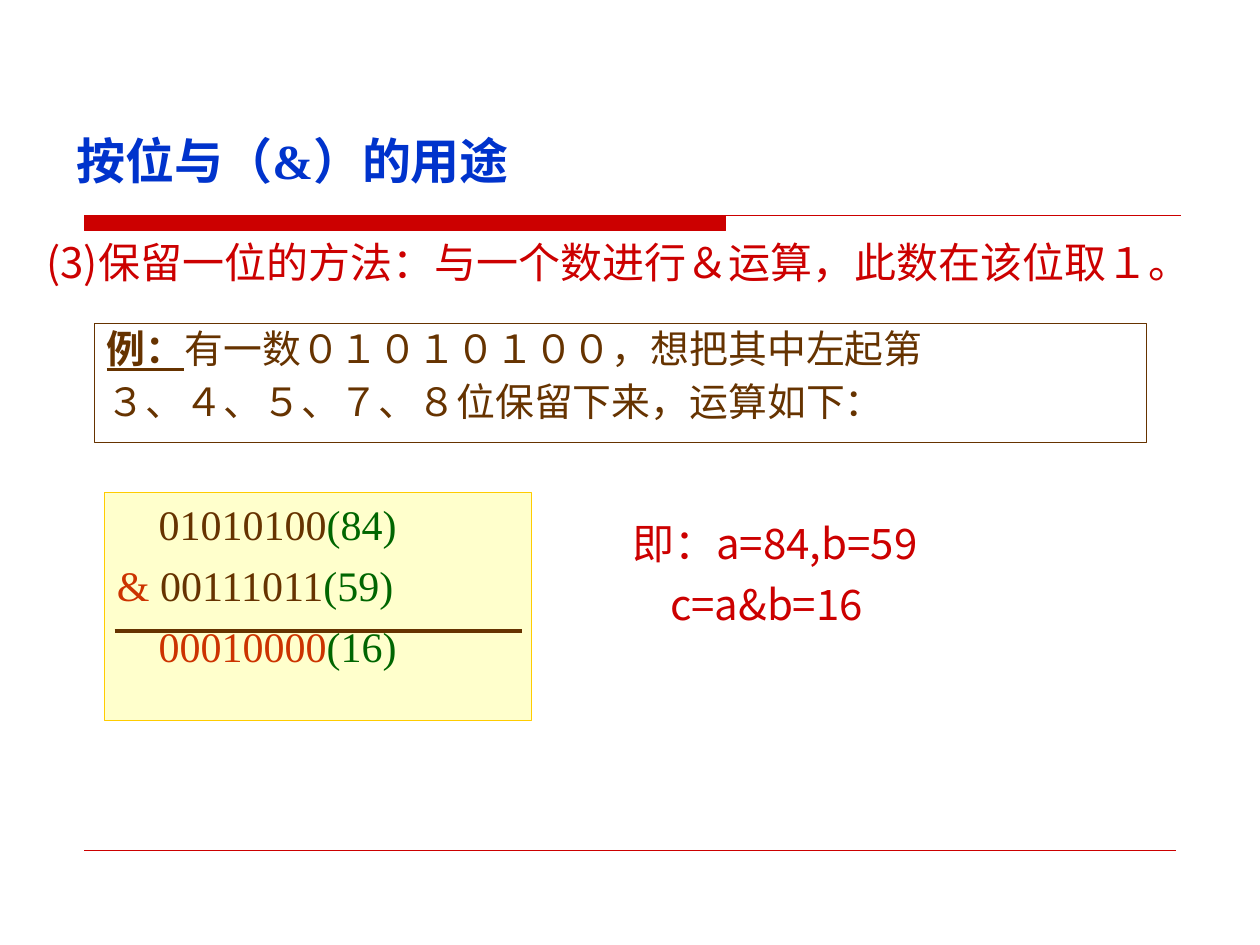
from lxml import etree
from pptx import Presentation
from pptx.dml.color import RGBColor
from pptx.enum.shapes import MSO_CONNECTOR, MSO_SHAPE
from pptx.enum.text import MSO_ANCHOR, PP_ALIGN
from pptx.oxml.ns import qn
from pptx.util import Inches, Pt

STRAIGHT = MSO_CONNECTOR.STRAIGHT
RECTANGLE = MSO_SHAPE.RECTANGLE
TOP = MSO_ANCHOR.TOP
LEFT = PP_ALIGN.LEFT

COLORS = {
    "red": "CC0000",
    "blue": "0033CC",
    "brown": "663300",
    "orange": "CC3300",
    "green": "006600",
    "cream": "FFFFCC",
    "gold": "FFCC00",
}
SANS = "Noto Sans CJK SC"
SERIF = "Times New Roman"


def rgb(name):
    return RGBColor.from_string(COLORS[name])


def add_rule(shapes, x1, x2, y, color, weight):
    rule = shapes.add_connector(STRAIGHT, Inches(x1), Inches(y), Inches(x2), Inches(y))
    rule.line.color.rgb = rgb(color)
    rule.line.width = Pt(weight)
    etree.SubElement(rule._element.spPr, qn("a:effectLst"))


def add_title_band(shapes, left, top, bar_right, bar_bottom, line_right):
    x, y, right, bottom, end = (
        Inches(v) for v in (left, top, bar_right, bar_bottom, line_right)
    )
    outline = shapes.build_freeform(x, y)
    outline.add_line_segments([(right, y), (right, bottom), (x, bottom)], close=True)
    outline.move_to(x, y)
    outline.add_line_segments([(end, y)], close=False)
    band = outline.convert_to_shape()
    band.shadow.inherit = False
    band.fill.solid()
    band.fill.fore_color.rgb = rgb("red")
    band.line.color.rgb = rgb("red")
    band.line.width = Pt(0.75)


def add_box(shapes, area, border, fill=None):
    box = shapes.add_shape(RECTANGLE, *map(Inches, area))
    box.shadow.inherit = False
    box.line.color.rgb = rgb(border)
    box.line.width = Pt(0.75)
    if fill:
        box.fill.solid()
        box.fill.fore_color.rgb = rgb(fill)
    else:
        box.fill.background()
    return box


def add_text_area(shapes, area):
    return shapes.add_textbox(*map(Inches, area))


def write(holder, paragraphs, size, font, spacing=1.0, bold=False):
    frame = holder.text_frame
    frame.word_wrap = True
    frame.vertical_anchor = TOP
    for index, (indent, runs) in enumerate(paragraphs):
        paragraph = frame.add_paragraph() if index else frame.paragraphs[0]
        layout = {
            "alignment": LEFT,
            "line_spacing": spacing,
            "space_before": Pt(6 if index else 0),
        }
        for key, value in layout.items():
            setattr(paragraph, key, value)
        properties = paragraph._p.get_or_add_pPr()
        properties.set("marL", str(Inches(0.38)))
        properties.set("indent", str(Inches(indent - 0.38)))
        for text, color, *emphasis in runs:
            run = paragraph.add_run()
            run.text = text
            style = {
                "name": font,
                "size": Pt(size),
                "bold": bold or bool(emphasis),
                "underline": bool(emphasis),
            }
            for key, value in style.items():
                setattr(run.font, key, value)
            run.font.color.rgb = rgb(color)
            east_asian = etree.SubElement(run._r.get_or_add_rPr(), qn("a:ea"))
            east_asian.set("typeface", SANS)


def add_calculation(shapes):
    calculation = shapes.add_group_shape().shapes
    box = add_box(calculation, (0.83, 3.91, 3.39, 1.81), "gold", "cream")
    write(box, [
        (0.33, [("01010100", "brown"), ("(84)", "green")]),
        (0, [("& ", "orange"), ("00111011", "brown"), ("(59)", "green")]),
        (0.33, [("00010000", "orange"), ("(16)", "green")]),
    ], 24, SERIF)
    add_rule(calculation, 0.91, 4.14, 5.01, "brown", 2.25)


def main():
    deck = Presentation()
    deck.slide_width, deck.slide_height = Inches(10), Inches(7.5)
    shapes = deck.slides.add_slide(deck.slide_layouts[6]).shapes

    add_title_band(shapes, 0.67, 1.71, 5.76, 1.83, 9.37)
    add_rule(shapes, 0.67, 9.33, 6.75, "red", 0.25)

    title = add_text_area(shapes, (0.51, 0.99, 5.28, 0.57))
    write(title, [(0, [("按位与（&）的用途", "blue")])], 28, SERIF, bold=True)

    method = add_text_area(shapes, (0.27, 1.86, 9.37, 1.18))
    write(method, [
        (0, [("(3)保留一位的方法：与一个数进行＆运算，此数在该位取１。", "red")]),
    ], 24, SANS, 0.95)

    conclusion = add_text_area(shapes, (4.92, 4.06, 3.7, 1.34))
    write(conclusion, [
        (0, [("即：a=84,b=59", "red")]),
        (0.3, [("c=a&b=16", "red")]),
    ], 24, SANS)

    example = add_box(shapes, (0.75, 2.57, 8.35, 0.94), "brown")
    write(example, [
        (0, [("例：", "brown", "strong"),
             ("有一数０１０１０１００，想把其中左起第", "brown")]),
        (0, [("３、４、５、７、８位保留下来，运算如下：", "brown")]),
    ], 22.2, SANS, 0.9)

    add_calculation(shapes)
    deck.save("out.pptx")


if __name__ == "__main__":
    main()
